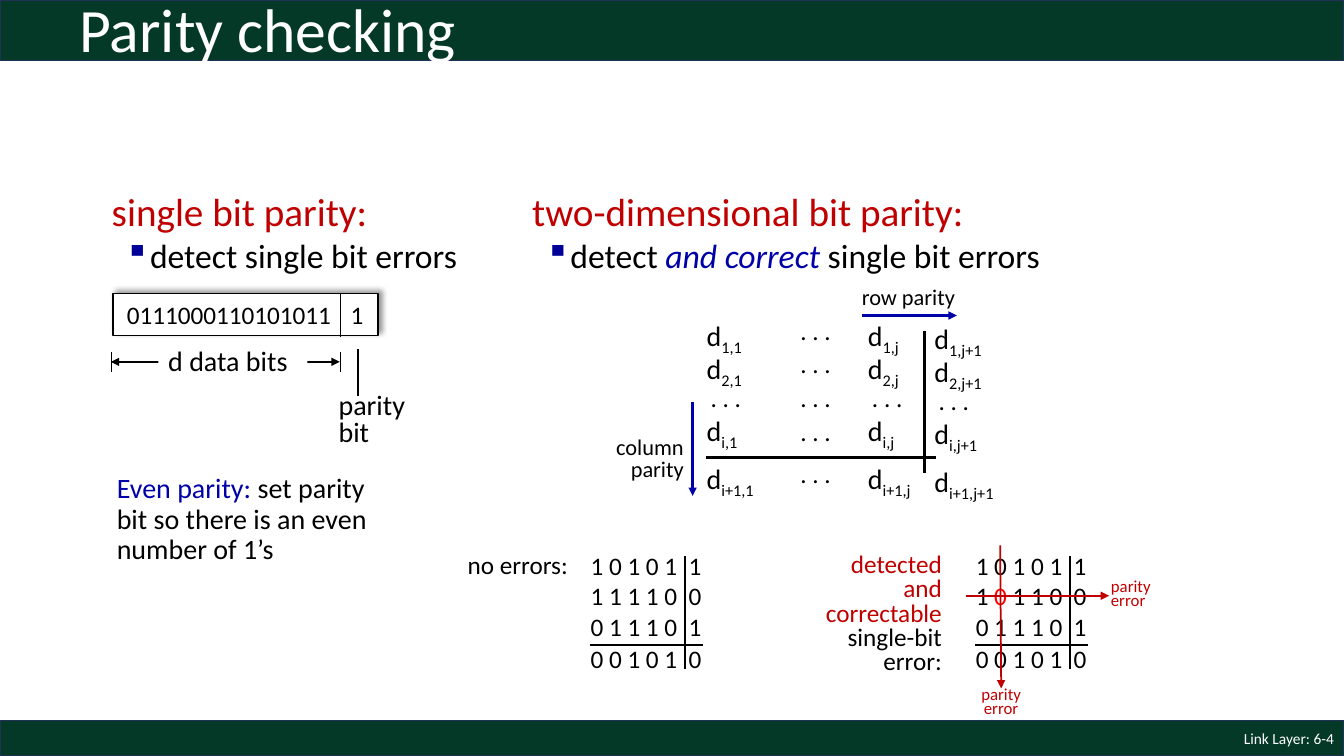
import dataclasses
import pptx
import pptx.util
import pptx.dml.color
import pptx.enum.shapes
import pptx.enum.text
import pptx.oxml
import pptx.oxml.ns

ALIGN = pptx.enum.text.PP_ALIGN
MID = pptx.enum.text.MSO_ANCHOR.MIDDLE
RECT = pptx.enum.shapes.MSO_SHAPE.RECTANGLE
LINE = pptx.enum.shapes.MSO_CONNECTOR.STRAIGHT
SPACE = pptx.oxml.ns.nsdecls("a")


@dataclasses.dataclass
class Theme:
    font: str = "Calibri"
    black: str = "000000"
    white: str = "FFFFFF"
    green: str = "043927"
    edge: str = "1E3256"
    red: str = "C00000"
    flip: str = "FF0000"
    blue: str = "0000A8"
    mark: str = "000099"
    title: int = 44
    head: int = 28
    point: int = 24
    body: int = 20
    bits: int = 18
    side: int = 16
    tiny: int = 12
    foot: int = 11


def px(count):
    return pptx.util.Emu(count * 9144)


def rgb(code):
    return pptx.dml.color.RGBColor.from_string(code)


class Board:
    def __init__(self, slide, theme):
        self.slide = slide
        self.theme = theme

    def box(self, x, y, w, h, fill, edge, shade=False):
        shape = self.slide.shapes.add_shape(RECT, px(x), px(y), px(w), px(h))
        shape.shadow.inherit = False
        shape.fill.solid()
        shape.fill.fore_color.rgb = rgb(fill)
        shape.line.color.rgb = rgb(edge)
        shape.line.width = pptx.util.Pt(1)
        if shade:
            shape._element.spPr.find(pptx.oxml.ns.qn("a:effectLst")).append(pptx.oxml.parse_xml(
                f'<a:outerShdw {SPACE} blurRad="50800" dist="38100" dir="18900000" algn="bl" rotWithShape="0">'
                f'<a:srgbClr val="{self.theme.black}"><a:alpha val="40000"/></a:srgbClr></a:outerShdw>'))

    def line(self, x1, y1, x2, y2, width, color=None, head=False, tail=False):
        link = self.slide.shapes.add_connector(LINE, px(x1), px(y1), px(x2), px(y2))
        link.line.color.rgb = rgb(color or self.theme.black)
        link.line.width = pptx.util.Pt(width)
        for tag, shown in (("headEnd", head), ("tailEnd", tail)):
            if shown:
                link.line._get_or_add_ln().append(
                    pptx.oxml.parse_xml(f'<a:{tag} {SPACE} type="triangle"/>'))
        link._element.spPr.append(pptx.oxml.parse_xml(f"<a:effectLst {SPACE}/>"))

    def text(self, x, y, w, h, rows, size, color=None, align=ALIGN.LEFT,
             gap=None, fill=None, anchor=None):
        shape = self.slide.shapes.add_textbox(px(x), px(y), px(w), px(h))
        if fill:
            shape.fill.solid()
            shape.fill.fore_color.rgb = rgb(fill)
        frame = shape.text_frame
        frame.word_wrap = True
        if anchor is not None:
            frame.vertical_anchor = anchor
        for at, row in enumerate(rows):
            para = frame.add_paragraph() if at else frame.paragraphs[0]
            para.alignment = align
            if gap:
                para.line_spacing = gap
            for part in [row] if isinstance(row, str) else row:
                words, look = (part, {}) if isinstance(part, str) else part
                run = para.add_run()
                run.text = words
                run.font.name = self.theme.font
                run.font.size = pptx.util.Pt(look.get("size", size))
                run.font.color.rgb = rgb(look.get("color", color or self.theme.black))
                if "slant" in look:
                    run.font.italic = look["slant"]
                if "base" in look:
                    run._r.get_or_add_rPr().set("baseline", str(look["base"] * 1000))
        return frame

    def topic(self, x, w, head, point):
        look = self.theme
        frame = self.text(x, 181, w, 98, [[(head, {"size": look.head, "color": look.red})], point],
                          look.point)
        props = frame.paragraphs[1]._p.get_or_add_pPr()
        props.set("marL", str(px(38)))
        props.set("indent", str(px(-25)))
        props.append(pptx.oxml.parse_xml(
            f'<a:buClr {SPACE}><a:srgbClr val="{look.mark}"/></a:buClr>'))
        props.append(pptx.oxml.parse_xml(f'<a:buChar {SPACE} char="▪"/>'))

    def term(self, x, y, index):
        self.text(x, y, 90, 44, [["d", (index, {"base": -25})]], self.theme.body)

    def dots(self, x, y):
        self.text(x, y, 69, 40, [". . ."], self.theme.bits)

    def grid(self, x, rows):
        for at, row in enumerate(rows):
            self.text(x, 541 + at * 92 // 3, 140, 40, [row], self.theme.bits)
        self.line(x + 9, 640, x + 121, 640, 1.5)
        self.line(x + 103, 552, x + 103, 664, 1.5)


def single(board, look):
    board.topic(101, 375, "single bit parity:", ["detect single bit errors"])
    board.box(112, 291, 263, 42, look.white, look.black, shade=True)
    board.text(116, 292, 228, 40, ["0111000110101011"], look.bits)
    board.text(338, 292, 36, 40, ["1"], look.bits)
    board.line(338, 292, 338, 334, 1)
    board.line(110, 359, 337, 359, 1.75, head=True, tail=True)
    for x in (110, 338):
        board.line(x, 349, x, 369, 0.5)
    board.text(326, 386, 148, 65, ["parity", "bit"], look.body, gap=0.8, fill=look.white)
    board.line(355, 346, 355, 393, 1)
    board.text(157, 342, 148, 38, ["d data bits"], look.body, gap=0.8, fill=look.white)
    board.text(106, 466, 299, 101,
               [[("Even parity: ", {"color": look.blue}),
                 "set parity bit so there is an even number of 1’s"]], look.body, gap=0.9)


def matrix(board, look):
    board.topic(518, 545, "two-dimensional bit parity:",
                ["detect ", ("and correct ", {"color": look.blue, "slant": True}),
                 "single bit errors"])
    for x, drop, col in ((691, 0, "1"), (851, 0, "j"), (917, 3, "j+1")):
        for y, row in ((311, "1"), (344, "2"), (405, "i"), (453, "i+1")):
            board.term(x, y + drop, f"{row},{col}")
        board.dots(x + 4, 374 + drop)
    for y in (308, 341, 374, 408, 450):
        board.dots(784, y)
    board.line(700, 454, 928, 454, 2)
    board.line(917, 469, 917, 328, 2)
    board.text(845, 276, 120, 37, ["row parity"], look.side)
    board.text(595, 430, 93, 54, ["column", "parity"], look.side, align=ALIGN.RIGHT, gap=0.8)
    board.line(855, 313, 949, 313, 1.75, look.blue, tail=True)
    board.line(687, 399, 687, 492, 1.75, look.blue, tail=True)


def samples(board, look):
    top, *rest = ["1 0 1 0 1  1", "0 1 1 1 0  1", "0 0 1 0 1  0"]
    board.text(454, 540, 125, 40, ["no errors:"], look.bits)
    board.grid(576, [top, "1 1 1 1 0  0", *rest])
    board.grid(958, [top, ["1 ", ("0", {"color": look.flip}), " 1 1 0  0"], *rest])
    for x, y, w, align in ((958, 679, 70, ALIGN.CENTER), (1092, 572, 66, ALIGN.LEFT)):
        board.text(x, y, w, 39, ["parity", "error"], look.tiny, look.red, align, 0.7)
    board.line(958, 591, 1100, 591, 1.25, look.red, tail=True)
    board.line(992, 541, 993, 683, 1.25, look.red, tail=True)
    found = [[(word, {"color": look.red})] for word in ("detected", "and", "correctable")]
    board.text(790, 545, 154, 132, found + ["single-bit", "error:"], look.bits,
               align=ALIGN.RIGHT, gap=0.8)


def main():
    deck = pptx.Presentation()
    deck.slide_width, deck.slide_height = px(1333), px(750)
    look = Theme()
    board = Board(deck.slides.add_slide(deck.slide_layouts[6]), look)
    for y, h in ((0, 60), (715, 35)):
        board.box(0, y, 1333, h, look.green, look.edge)
    board.text(69, 0, 1150, 64, ["Parity checking"], look.title, look.white, gap=0.9, anchor=MID)
    board.text(1033, 715, 300, 35, ["Link Layer: 6-4"], look.foot, look.white,
               align=ALIGN.RIGHT, anchor=MID)
    single(board, look)
    matrix(board, look)
    samples(board, look)
    deck.save("out.pptx")


if __name__ == "__main__":
    main()
